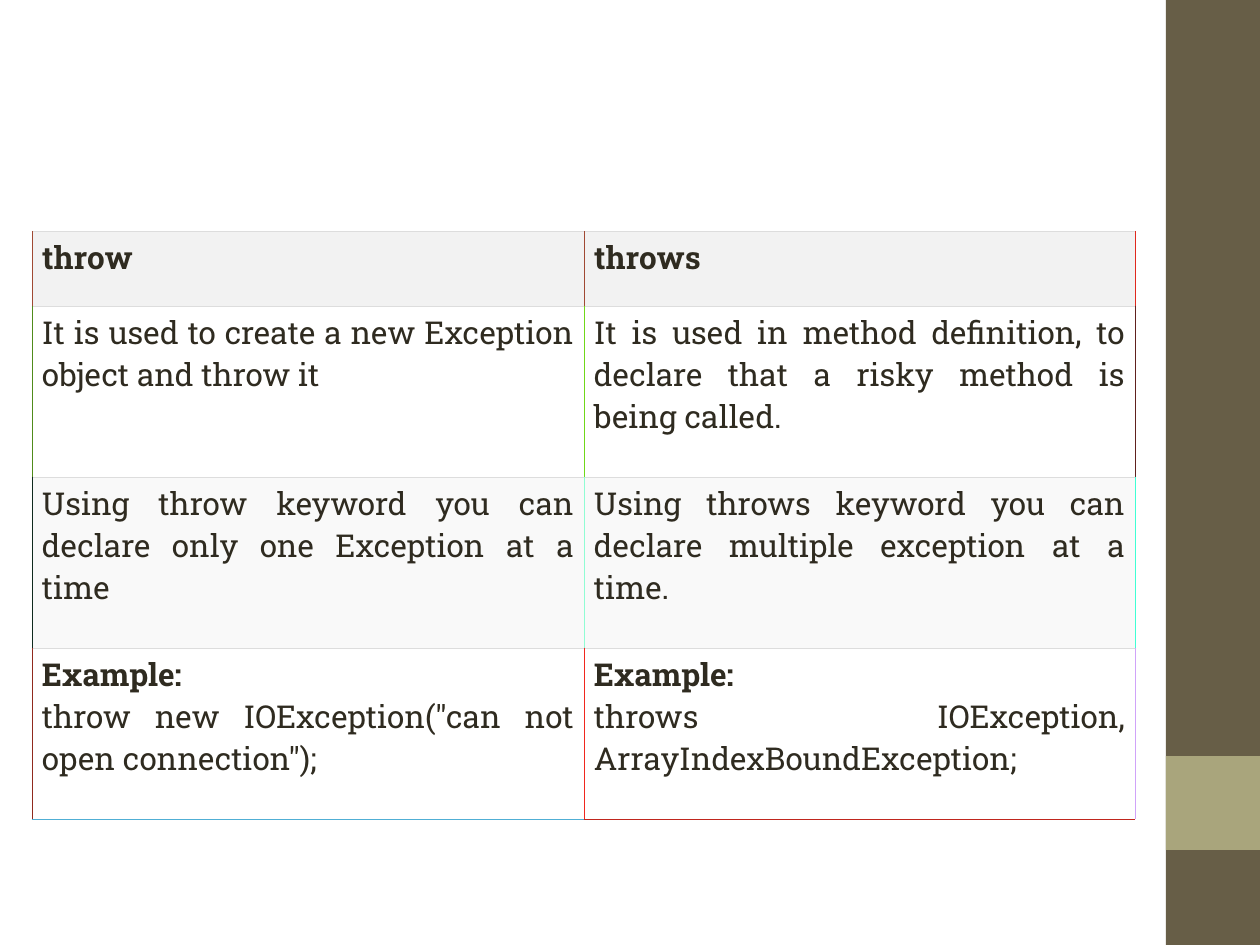
from lxml.etree import SubElement
from pptx import Presentation
from pptx.dml.color import RGBColor
from pptx.enum.shapes import MSO_SHAPE as Shape
from pptx.enum.text import PP_ALIGN as Align
from pptx.oxml.ns import qn
from pptx.util import Emu, Pt

PX = 914400 // 126
WIDTH, HEIGHT = 1260, 945
FONT = "Roboto Slab"
COLORS = {
    "band": "675E47", "accent": "A9A57C", "text": "2F2B20",
    "head": "F2F2F2", "white": "FFFFFF", "stripe": "F9F9F9",
    "rule": "DDDDDD", "brown": "A04933", "red": "E0291E",
    "green": "508B1B", "lime": "70D819", "maroon": "60211E",
    "forest": "102A1E", "mint": "90FDD4", "aqua": "40FFD4",
    "wine": "902A1E", "scarlet": "F0271E", "lilac": "D0A3F9",
    "sky": "50AFD5", "crimson": "C0261E",
}
HAIRLINES = {"rule", "brown"}

# Fill, colours of the three vertical edges, then the paragraphs of each cell
COMPARISON = [
    ("head", ("brown", "brown", "red"), (["throw"], ["throws"])),
    ("white", ("green", "lime", "maroon"), (
        ["It is used to create a new Exception object and throw it"],
        ["It is used in method definition, to declare that a risky method is being called."])),
    ("stripe", ("forest", "mint", "aqua"), (
        ["Using throw keyword you can declare only one Exception at a time"],
        ["Using throws keyword you can declare multiple exception at a time."])),
    ("white", ("wine", "scarlet", "lilac"), (
        ["Example:", 'throw new IOException("can not open connection");'],
        ["Example:", "throws IOException, ArrayIndexBoundException;"])),
]
BOLD = {"throw", "throws", "Example:"}
BOTTOM_EDGES = ("sky", "crimson")


def px(length):
    return Emu(length * PX)


def rgb(color):
    return RGBColor.from_string(COLORS[color])


def write(paragraph, text, size=18, color="text", bold=False, align=Align.JUSTIFY):
    paragraph.alignment = align
    run = paragraph.add_run()
    run.text = text
    run.font.name = FONT
    run.font.size = Pt(size)
    run.font.bold = bold
    run.font.color.rgb = rgb(color)


def draw_edges(cell, **edges):
    """Set cell borders; edges must come in the order L, R, T, B."""
    properties = cell._tc.get_or_add_tcPr()
    for side, color in edges.items():
        width = Pt(0.34 if color in HAIRLINES else 0.45)
        line = SubElement(properties, qn(f"a:ln{side}"), w=str(width))
        fill = SubElement(line, qn("a:solidFill"))
        SubElement(fill, qn("a:srgbClr"), val=COLORS[color])


class Deck:
    def __init__(self):
        self.presentation = Presentation()
        self.presentation.slide_width = px(WIDTH)
        self.presentation.slide_height = px(HEIGHT)
        self.slide = self.presentation.slides.add_slide(self.presentation.slide_layouts[6])

    def block(self, left, top, width, height, color):
        block = self.slide.shapes.add_shape(
            Shape.RECTANGLE, px(left), px(top), px(width), px(height))
        block.shadow.inherit = False
        block.fill.solid()
        block.fill.fore_color.rgb = rgb(color)
        block.line.fill.background()

    def table(self, left, top, widths, heights, rows):
        table = self.slide.shapes.add_table(
            len(heights), len(widths), px(left), px(top),
            px(sum(widths)), px(sum(heights))).table
        table.first_row = table.horz_banding = False
        for column, width in zip(table.columns, widths):
            column.width = px(width)
        for r, (fill, verticals, texts) in enumerate(rows):
            table.rows[r].height = px(heights[r])
            for c, lines in enumerate(texts):
                bottom = BOTTOM_EDGES[c] if r == len(rows) - 1 else "rule"
                self.cell(table.cell(r, c), lines, fill,
                          L=verticals[c], R=verticals[c + 1], T="rule", B=bottom)

    def cell(self, cell, lines, fill, **edges):
        cell.margin_left = cell.margin_right = px(10)
        cell.margin_top = cell.margin_bottom = px(6)
        draw_edges(cell, **edges)
        cell.fill.solid()
        cell.fill.fore_color.rgb = rgb(fill)
        frame = cell.text_frame
        for i, line in enumerate(lines):
            paragraph = frame.add_paragraph() if i else frame.paragraphs[0]
            write(paragraph, line, bold=line in BOLD)


def main():
    deck = Deck()
    band_left = 1166
    band_width = WIDTH - band_left
    deck.block(band_left, 0, band_width, HEIGHT, "band")
    deck.block(band_left, 756, band_width, band_width, "accent")
    deck.table(32, 231, [552, 551], [75] + [171] * 3, COMPARISON)
    deck.presentation.save("out.pptx")


if __name__ == "__main__":
    main()
